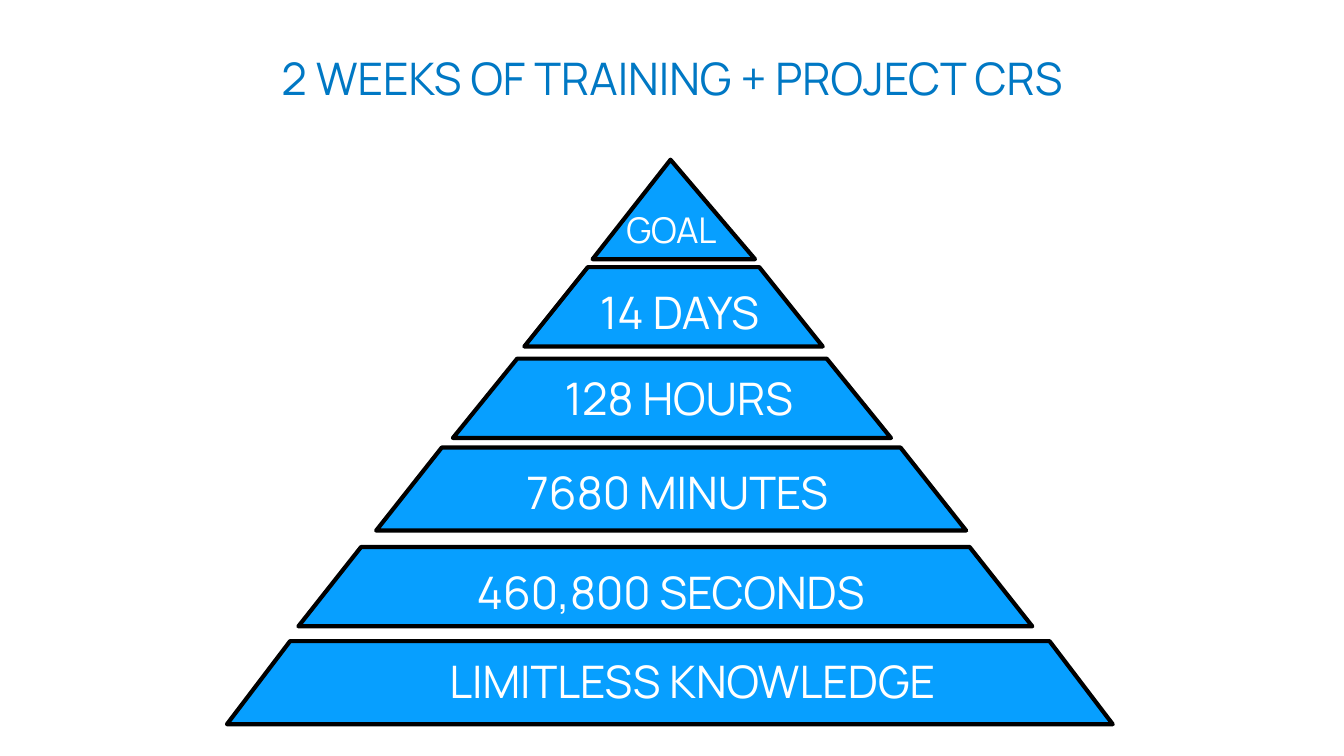
from pptx import Presentation
from pptx.dml.color import RGBColor
from pptx.enum import shapes, text
from pptx.util import Cm, Pt

FONT = "Manrope"
BLUE, TITLE_BLUE, BLACK, WHITE = "079FFF", "0078C4", "000000", "FFFFFF"
TRIANGLE = shapes.MSO_SHAPE.ISOSCELES_TRIANGLE
TRAPEZOID = shapes.MSO_SHAPE.TRAPEZOID
TOP, MIDDLE = text.MSO_ANCHOR.TOP, text.MSO_ANCHOR.MIDDLE

# Insets in cm: left, top, right, bottom
NO_INSETS = (0, 0, 0, 0)
LABEL_INSETS = (0.38, 0.1, 0.18, 0.1)
GOAL_INSETS = (0.18, 0.18, 0.18, 0.18)

# Pyramid levels from tip to base: preset, adjustment, left, top, width, height
LEVELS = [
    (TRIANGLE, 0.48, 11.2, 3.02, 3.07, 1.88),
    (TRAPEZOID, 0.8, 9.91, 5.05, 5.64, 1.5),
    (TRAPEZOID, 0.81, 8.56, 6.78, 8.28, 1.5),
    (TRAPEZOID, 0.79, 7.11, 8.46, 11.15, 1.57),
    (TRAPEZOID, 0.79, 5.64, 10.34, 13.87, 1.5),
    (TRAPEZOID, 0.76, 4.29, 12.12, 16.74, 1.57),
]


def color(value):
    return RGBColor.from_string(value)


def write(shape, words, insets, size=24, ink=WHITE, anchor=TOP, spacing=1.0):
    frame = shape.text_frame
    frame.word_wrap = True
    frame.vertical_anchor = anchor
    (frame.margin_left, frame.margin_top,
     frame.margin_right, frame.margin_bottom) = map(Cm, insets)
    paragraph = frame.paragraphs[0]
    paragraph.text = words
    paragraph.alignment = text.PP_ALIGN.CENTER
    paragraph.line_spacing = spacing
    paragraph.font.name = FONT
    paragraph.font.size = Pt(size)
    paragraph.font.color.rgb = color(ink)


def add_level(slide, preset, adjustment, *box):
    shape = slide.shapes.add_shape(preset, *map(Cm, box))
    shape.adjustments[0] = adjustment
    shape.shadow.inherit = False
    shape.fill.solid()
    shape.fill.fore_color.rgb = color(BLUE)
    shape.line.color.rgb = color(BLACK)
    shape.line.width = Pt(2.25)
    return shape


def add_label(slide, words, box, insets=LABEL_INSETS, **style):
    write(slide.shapes.add_textbox(*map(Cm, box)), words, insets, **style)


def main():
    presentation = Presentation()
    presentation.slide_width, presentation.slide_height = Cm(25.4), Cm(14.29)
    slide = presentation.slides.add_slide(presentation.slide_layouts[6])

    # Title, raised above the middle of its box by the bottom inset
    add_label(slide, "2 WEEKS OF TRAINING + PROJECT CRS", (0, 0.46, 25.4, 3.2),
              (0, 0, 0, 1.27), ink=TITLE_BLUE, anchor=MIDDLE, spacing=1.1)

    # Pyramid
    levels = [add_level(slide, *level) for level in LEVELS]

    # Labels
    add_label(slide, "GOAL", (10.39, 3.76, 4.6, 1.19), GOAL_INSETS, size=19)
    add_label(slide, "14 DAYS", (10.44, 5.28, 4.6, 1.22))
    add_label(slide, "128 HOURS", (9.91, 6.91, 5.64, 1.22))
    add_label(slide, "7680 MINUTES", (8.56, 8.69, 8.28, 1.22))
    write(levels[4], "460,800 SECONDS", LABEL_INSETS, anchor=MIDDLE, spacing=1.1)
    add_label(slide, "LIMITLESS KNOWLEDGE", (6.15, 11.94, 13.87, 1.73),
              NO_INSETS, anchor=MIDDLE, spacing=1.1)

    presentation.save("out.pptx")


if __name__ == "__main__":
    main()
